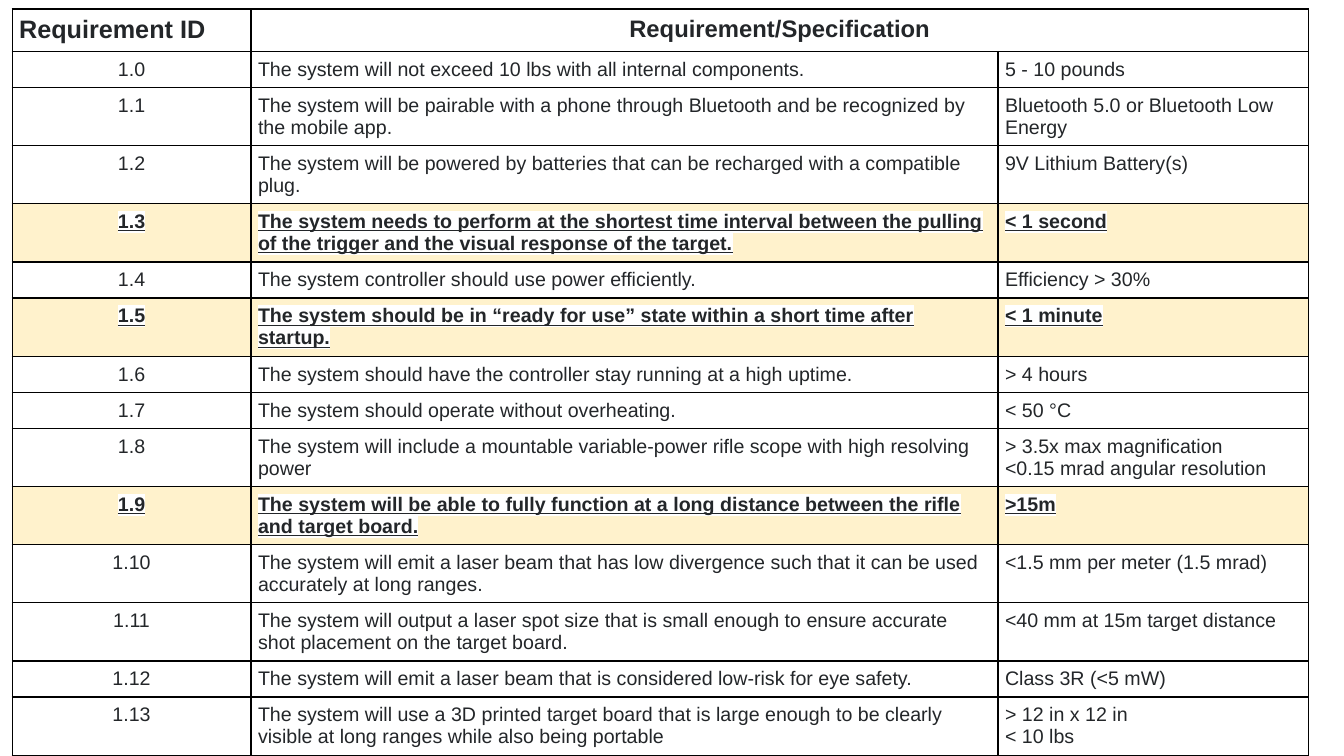
from lxml import etree
from pptx import Presentation
from pptx.dml.color import RGBColor
from pptx.enum.text import PP_ALIGN
from pptx.oxml.ns import qn
from pptx.util import Pt

LEFT, CENTER = PP_ALIGN.LEFT, PP_ALIGN.CENTER
COLORS = {"text": "232629", "border": "000000", "plain": "FFFFFF", "key": "FFF2CC"}
FONT = "Arial"
BODY_SIZE = 14
INSET = 5.04
HEADER_HEIGHT = 30
ROW_HEIGHTS = {1: 25.7, 2: 41.4}
COLUMN_SHARES = (2.37, 7.41, 3.08)
KEY_REQUIREMENTS = {"1.3", "1.5", "1.9"}

# Requirement ID, lines of text in the row, requirement, specification
REQUIREMENTS = [
    ("1.0", 1, "The system will not exceed 10 lbs with all internal components.",
     "5 - 10 pounds"),
    ("1.1", 2, "The system will be pairable with a phone through Bluetooth and be "
     "recognized by the mobile app.", "Bluetooth 5.0 or Bluetooth Low Energy"),
    ("1.2", 2, "The system will be powered by batteries that can be recharged with a "
     "compatible plug.", "9V Lithium Battery(s)"),
    ("1.3", 2, "The system needs to perform at the shortest time interval between the "
     "pulling of the trigger and the visual response of the target.", "< 1 second"),
    ("1.4", 1, "The system controller should use power efficiently.",
     "Efficiency > 30%"),
    ("1.5", 2, "The system should be in “ready for use” state within a short time "
     "after startup.", "< 1 minute"),
    ("1.6", 1, "The system should have the controller stay running at a high uptime.",
     "> 4 hours"),
    ("1.7", 1, "The system should operate without overheating.", "< 50 °C"),
    ("1.8", 2, "The system will include a mountable variable-power rifle scope with "
     "high resolving power",
     "> 3.5x max magnification\n<0.15 mrad angular resolution"),
    ("1.9", 2, "The system will be able to fully function at a long distance between "
     "the rifle and target board.", ">15m"),
    ("1.10", 2, "The system will emit a laser beam that has low divergence such that "
     "it can be used accurately at long ranges.", "<1.5 mm per meter (1.5 mrad)"),
    ("1.11", 2, "The system will output a laser spot size that is small enough to "
     "ensure accurate shot placement on the target board.",
     "<40 mm at 15m target distance"),
    ("1.12", 1, "The system will emit a laser beam that is considered low-risk for "
     "eye safety.", "Class 3R (<5 mW)"),
    ("1.13", 2, "The system will use a 3D printed target board that is large enough "
     "to be clearly visible at long ranges while also being portable",
     "> 12 in x 12 in\n< 10 lbs"),
]


def add_color(parent, tag, color):
    """Append a colour element such as a:solidFill or a:highlight."""
    holder = etree.SubElement(parent, qn(tag))
    etree.SubElement(holder, qn("a:srgbClr")).set("val", color)


def style_cell(cell, fill):
    """Give a cell its borders, margins and fill."""
    properties = cell._tc.get_or_add_tcPr()
    for side in ("a:lnL", "a:lnR", "a:lnT", "a:lnB"):
        line = etree.SubElement(properties, qn(side))
        line.set("w", str(Pt(1)))
        add_color(line, "a:solidFill", COLORS["border"])
    cell.margin_left = cell.margin_right = Pt(INSET)
    cell.margin_top = cell.margin_bottom = Pt(INSET)
    cell.fill.solid()
    cell.fill.fore_color.rgb = RGBColor.from_string(COLORS[fill])


def write_cell(cell, text, alignment, size=BODY_SIZE, bold=False, underline=False):
    """Write one paragraph per line, on a white text highlight."""
    cell.text = text
    for paragraph in cell.text_frame.paragraphs:
        paragraph.alignment = alignment
        font = paragraph.font
        font.name, font.size = FONT, Pt(size)
        font.bold, font.underline = bold, underline
        font.color.rgb = RGBColor.from_string(COLORS["text"])
        for run in paragraph.runs:
            add_color(run._r.get_or_add_rPr(), "a:highlight", COLORS["plain"])


def add_requirements_table(slide, left, top, width):
    heights = [HEADER_HEIGHT] + [ROW_HEIGHTS[row[1]] for row in REQUIREMENTS]
    frame = slide.shapes.add_table(len(heights), len(COLUMN_SHARES), Pt(left), Pt(top),
                                   Pt(width), Pt(sum(heights)))
    table = frame.table
    table.first_row = table.horz_banding = False
    for column, share in zip(table.columns, COLUMN_SHARES):
        column.width = Pt(width * share / sum(COLUMN_SHARES))
    for row, height in zip(table.rows, heights):
        row.height = Pt(height)

    # Header row
    for cell in table.rows[0].cells:
        style_cell(cell, "plain")
    table.cell(0, 1).merge(table.cell(0, 2))
    write_cell(table.cell(0, 0), "Requirement ID", LEFT, 18, bold=True)
    write_cell(table.cell(0, 1), "Requirement/Specification", CENTER, 17, bold=True)

    # Requirement rows
    for index, (number, _, requirement, specification) in enumerate(REQUIREMENTS, 1):
        key = number in KEY_REQUIREMENTS
        texts = (number, requirement, specification)
        for cell, text, alignment in zip(table.rows[index].cells, texts,
                                         (CENTER, LEFT, LEFT)):
            style_cell(cell, "key" if key else "plain")
            write_cell(cell, text, alignment, bold=key, underline=key)


def main():
    presentation = Presentation()
    presentation.slide_width, presentation.slide_height = Pt(960), Pt(540)
    slide = presentation.slides.add_slide(presentation.slide_layouts[6])
    add_requirements_table(slide, 8.64, 6.5, 926)
    presentation.save("out.pptx")


if __name__ == "__main__":
    main()
